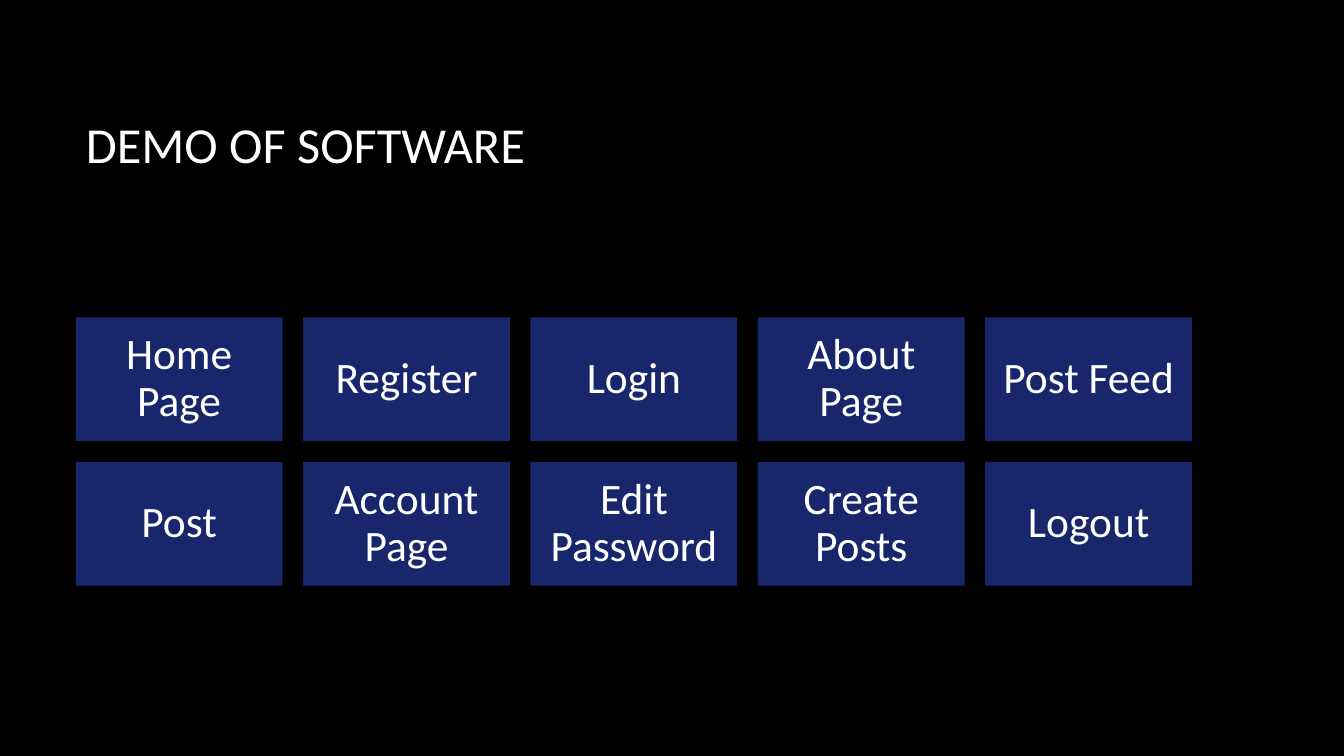
from dataclasses import dataclass

from pptx import Presentation
from pptx.dml.color import RGBColor
from pptx.enum.shapes import MSO_SHAPE
from pptx.enum.text import MSO_ANCHOR, PP_ALIGN
from pptx.slide import Slide
from pptx.text.text import TextFrame
from pptx.util import Cm, Pt

RECTANGLE = MSO_SHAPE.RECTANGLE
MIDDLE = MSO_ANCHOR.MIDDLE
LEFT, CENTER = PP_ALIGN.LEFT, PP_ALIGN.CENTER
TITLE_ONLY = 5


@dataclass(frozen=True)
class Theme:
    background: RGBColor = RGBColor(0x00, 0x00, 0x00)
    tile: RGBColor = RGBColor(0x18, 0x27, 0x6C)
    text: RGBColor = RGBColor(0xFF, 0xFF, 0xFF)
    font: str = "Calibri"
    title_size: int = 36
    tile_size: int = 31


@dataclass(frozen=True)
class Grid:
    """Tile grid, in centimetres."""
    left: float = 1.91
    top: float = 8.0
    width: float = 5.21
    height: float = 3.12
    gap: float = 0.52
    columns: int = 5


@dataclass(frozen=True)
class Tile:
    label: str
    row: int
    column: int


THEME = Theme()
GRID = Grid()
PAGES = ["Home Page", "Register", "Login", "About Page", "Post Feed",
         "Post", "Account Page", "Edit Password", "Create Posts", "Logout"]
TILES = [Tile(page, *divmod(i, GRID.columns)) for i, page in enumerate(PAGES)]


def set_text(tf: TextFrame, text: str, size: int, align: PP_ALIGN) -> None:
    tf.text = text
    tf.word_wrap = True
    tf.vertical_anchor = MIDDLE
    p = tf.paragraphs[0]
    p.alignment = align
    p.line_spacing = 0.9
    p.font.name = THEME.font
    p.font.size = Pt(size)
    p.font.color.rgb = THEME.text


def add_title(s: Slide, text: str) -> None:
    sp = s.shapes.title
    sp.left, sp.top, sp.width, sp.height = Cm(1.91), Cm(1.7), Cm(28.14), Cm(4.04)
    set_text(sp.text_frame, text, THEME.title_size, LEFT)


def add_tile(s: Slide, tile: Tile) -> None:
    sp = s.shapes.add_shape(
        RECTANGLE,
        Cm(GRID.left + tile.column * (GRID.width + GRID.gap)),
        Cm(GRID.top + tile.row * (GRID.height + GRID.gap)),
        Cm(GRID.width), Cm(GRID.height))
    sp.shadow.inherit = False
    sp.fill.solid()
    sp.fill.fore_color.rgb = THEME.tile
    sp.line.fill.background()
    tf = sp.text_frame
    tf.margin_left = tf.margin_right = tf.margin_top = tf.margin_bottom = Cm(0.33)
    set_text(tf, tile.label, THEME.tile_size, CENTER)


def main() -> None:
    prs = Presentation()
    prs.slide_width, prs.slide_height = Cm(33.87), Cm(19.05)
    s = prs.slides.add_slide(prs.slide_layouts[TITLE_ONLY])

    # Background
    s.background.fill.solid()
    s.background.fill.fore_color.rgb = THEME.background

    # Title and page tiles
    add_title(s, "DEMO OF SOFTWARE")
    for tile in TILES:
        add_tile(s, tile)

    prs.save("out.pptx")


if __name__ == "__main__":
    main()
